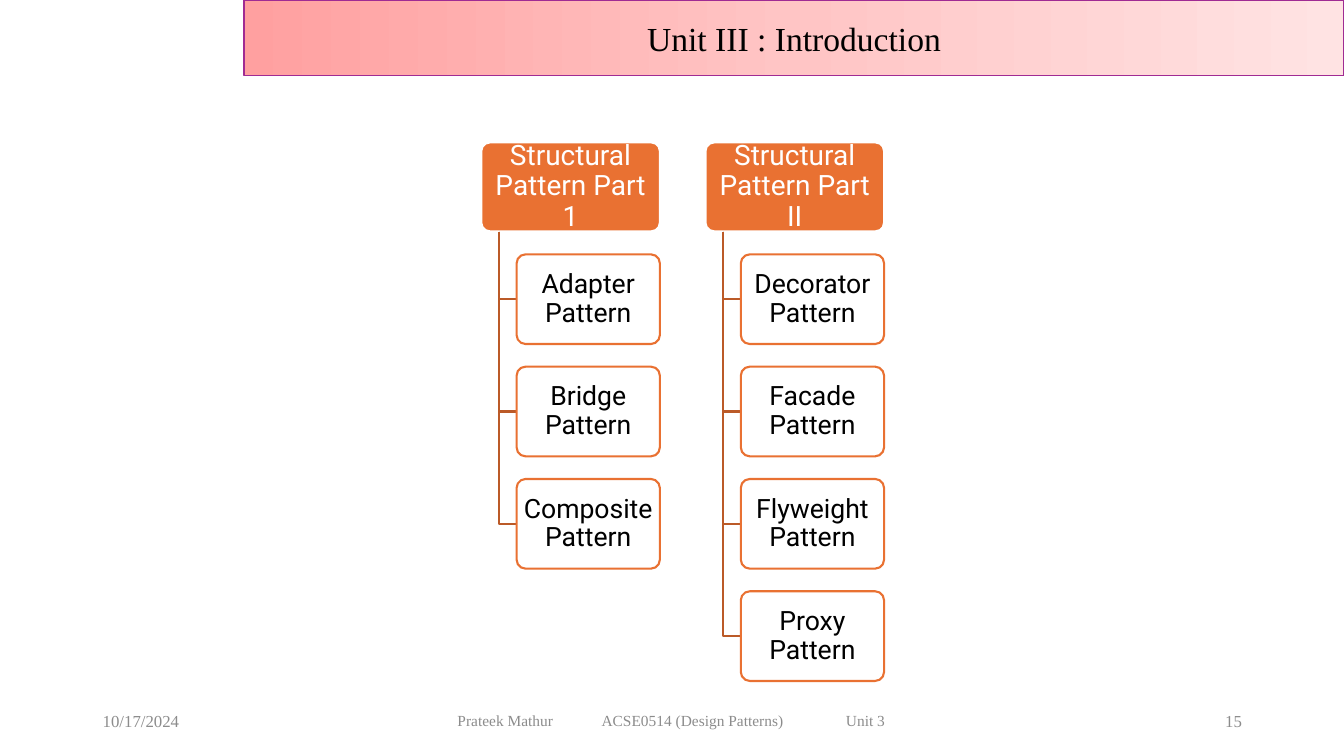
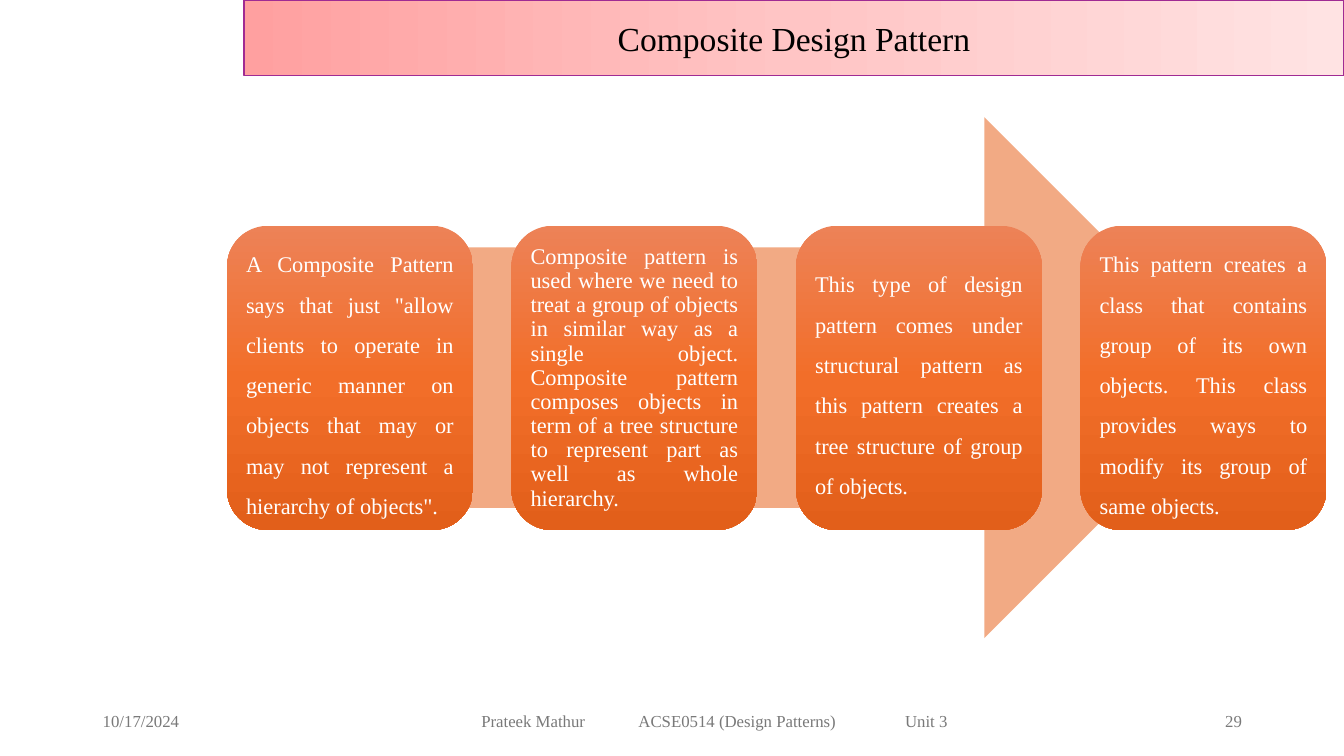
from copy import deepcopy

from lxml import etree
from pptx import Presentation
from pptx.dml.color import RGBColor
from pptx.enum.shapes import MSO_SHAPE
from pptx.enum.text import MSO_ANCHOR, MSO_AUTO_SIZE, PP_ALIGN
from pptx.oxml.ns import qn
from pptx.util import Cm, Pt

ROUNDED, ARROW = MSO_SHAPE.ROUNDED_RECTANGLE, MSO_SHAPE.RIGHT_ARROW
MIDDLE, NO_FIT = MSO_ANCHOR.MIDDLE, MSO_AUTO_SIZE.NONE
LEFT, CENTER = PP_ALIGN.LEFT, PP_ALIGN.CENTER
RIGHT, JUSTIFY = PP_ALIGN.RIGHT, PP_ALIGN.JUSTIFY

COLORS = {
    "white": "FFFFFF", "black": "000000",
    "orange": "E97132", "branch": "BB5A28", "arrow": "F2AA84",
    "band_start": "FFA0A0", "band_mid": "FFC5C5", "band_end": "FFE3E3",
    "band_line": "A02B93",
    "card_top": "ED8257", "card_mid": "F26E29", "card_bottom": "E25F1A",
    "light_gray": "8C8C8C", "gray": "797979",
}
BAND_STOPS = ("band_start", "band_mid", "band_end")
CARD_STOPS = ("card_top", "card_mid", "card_bottom")
SERIF, SANS = "Times New Roman", "Roboto"

FOOTER_PARTS = ("Prateek Mathur", "ACSE0514 (Design Patterns)", "Unit 3")
FOOTER_TABS = (0.33, 0.89)  # cm for each point of text size
FOOTER_TOP, FOOTER_HEIGHT = 17.65, 1.02

PATTERN_GROUPS = {
    "Structural Pattern Part 1": ("Adapter", "Bridge", "Composite"),
    "Structural Pattern Part II": ("Decorator", "Facade", "Flyweight", "Proxy"),
}
COMPOSITE_NOTES = (
    ('A Composite Pattern says that just "allow clients to operate in generic '
     'manner on objects that may or may not represent a hierarchy of objects".', 1.5),
    ("Composite pattern is used where we need to treat a group of objects in "
     "similar way as a single object. Composite pattern composes objects in "
     "term of a tree structure to represent part as well as whole hierarchy.", 0.9),
    ("This type of design pattern comes under structural pattern as this "
     "pattern creates a tree structure of group of objects.", 1.5),
    ("This pattern creates a class that contains group of its own objects. "
     "This class provides ways to modify its group of same objects.", 1.5),
)


def rgb(name):
    return RGBColor.from_string(COLORS[name])


def assign(target, formats):
    for attribute, value in formats.items():
        setattr(target, attribute, value)


class Deck:
    def __init__(self):
        self.prs = Presentation()
        assign(self.prs, {"slide_width": Cm(33.87), "slide_height": Cm(19.05)})
        self.slide = None

    def start(self, title):
        self.slide = self.prs.slides.add_slide(self.prs.slide_layouts[5])
        band = self.slide.shapes.title
        assign(band, {"left": Cm(6.15), "top": Cm(0),
                      "width": Cm(27.72), "height": Cm(1.9)})
        self.gradient(band, BAND_STOPS, 0)
        self.outline(band, "band_line", 1)
        self.set_text(band, title, 24, "black")

    def gradient(self, shape, stops, angle):
        shape.fill.gradient()
        shape.fill.gradient_angle = angle
        stop_list = shape._element.spPr.find(qn("a:gradFill")).find(qn("a:gsLst"))
        stop_list.insert(1, deepcopy(stop_list[0]))
        for index, stop in enumerate(shape.fill.gradient_stops):
            stop.position = index / (len(stops) - 1)
            stop.color.rgb = rgb(stops[index])

    def outline(self, shape, color, width):
        shape.line.color.rgb = rgb(color)
        shape.line.width = Pt(width)

    def set_text(self, shape, text, size, color, font=SERIF, align=CENTER,
                 spacing=1.0, insets=(0.25, 0.13), tabs=()):
        frame = shape.text_frame
        side, edge = map(Cm, insets)
        assign(frame, {"word_wrap": True, "auto_size": NO_FIT,
                       "vertical_anchor": MIDDLE,
                       "margin_left": side, "margin_right": side,
                       "margin_top": edge, "margin_bottom": edge})
        paragraph = frame.paragraphs[0]
        if tabs:
            tab_list = etree.SubElement(paragraph._p.get_or_add_pPr(), qn("a:tabLst"))
            for position in tabs:
                etree.SubElement(tab_list, qn("a:tab"),
                                 pos=str(Cm(position)), algn="l")
        assign(paragraph, {"alignment": align, "line_spacing": spacing})
        run = paragraph.add_run()
        run.text = text
        assign(run.font, {"name": font, "size": Pt(size)})
        run.font.color.rgb = rgb(color)

    def shape(self, kind, box, fill=None):
        shape = self.slide.shapes.add_shape(kind, *map(Cm, box))
        shape.shadow.inherit = False
        shape.line.fill.background()
        if fill:
            shape.fill.solid()
            shape.fill.fore_color.rgb = rgb(fill)
        return shape

    def node(self, box, text, fill, line, line_width, size, color):
        node = self.shape(ROUNDED, box, fill)
        node.adjustments[0] = 0.1
        self.outline(node, line, line_width)
        self.set_text(node, text, size, color, SANS, spacing=0.9, insets=(0.1, 0.07))

    def branch(self, left, top, right, bottom):
        """Draw a line down from the parent, then across to the child."""
        builder = self.slide.shapes.build_freeform(Cm(left), Cm(top))
        builder.add_line_segments([(Cm(left), Cm(bottom)), (Cm(right), Cm(bottom))],
                                  close=False)
        elbow = builder.convert_to_shape()
        elbow.shadow.inherit = False
        elbow.fill.background()
        self.outline(elbow, "branch", 1.5)

    def card(self, box, text, spacing):
        card = self.shape(ROUNDED, box)
        self.gradient(card, CARD_STOPS, 270)
        self.set_text(card, text, 16, "white", align=JUSTIFY, spacing=spacing,
                      insets=(0.18, 0.18))

    def footer(self, number, course_left, course_size, color):
        tabs = [ratio * course_size for ratio in FOOTER_TABS]
        for left, width, text, size, align, stops in (
                (2.34, 7.62, "10/17/2024", 12, LEFT, ()),
                (course_left, 12.5, "\t".join(FOOTER_PARTS), course_size, LEFT, tabs),
                (23.93, 7.62, number, 12, RIGHT, ())):
            box = self.slide.shapes.add_textbox(
                *map(Cm, (left, FOOTER_TOP, width, FOOTER_HEIGHT)))
            self.set_text(box, text, size, color, align=align, tabs=stops)


def introduction(deck):
    deck.start("Unit III : Introduction")
    top, height, row_pitch = 3.58, 2.26, 2.83
    for column, (part, patterns) in enumerate(PATTERN_GROUPS.items()):
        left = 12.12 + 5.65 * column
        spine, child_left = left + 0.45, left + 0.9
        deck.node((left, top, 4.52, height), part, "orange", "white", 2, 20, "white")
        for row, pattern in enumerate(patterns, start=1):
            child_top = top + row_pitch * row
            deck.branch(spine, top + height, child_left, child_top + height / 2)
            deck.node((child_left, child_top, 3.61, height), f"{pattern} Pattern",
                      "white", "orange", 1.5, 19, "black")
    deck.footer("15", 11.28, 11, "light_gray")


def composite(deck):
    deck.start("Composite Design Pattern")
    deck.shape(ARROW, (7.8, 2.95, 23.57, 13.13), "arrow")
    for index, (note, spacing) in enumerate(COMPOSITE_NOTES):
        deck.card((5.72 + 7.17 * index, 5.69, 6.2, 7.67), note, spacing)
    deck.footer("29", 11.88, 12, "gray")


def main():
    deck = Deck()
    introduction(deck)
    composite(deck)
    deck.prs.save("out.pptx")


if __name__ == "__main__":
    main()
